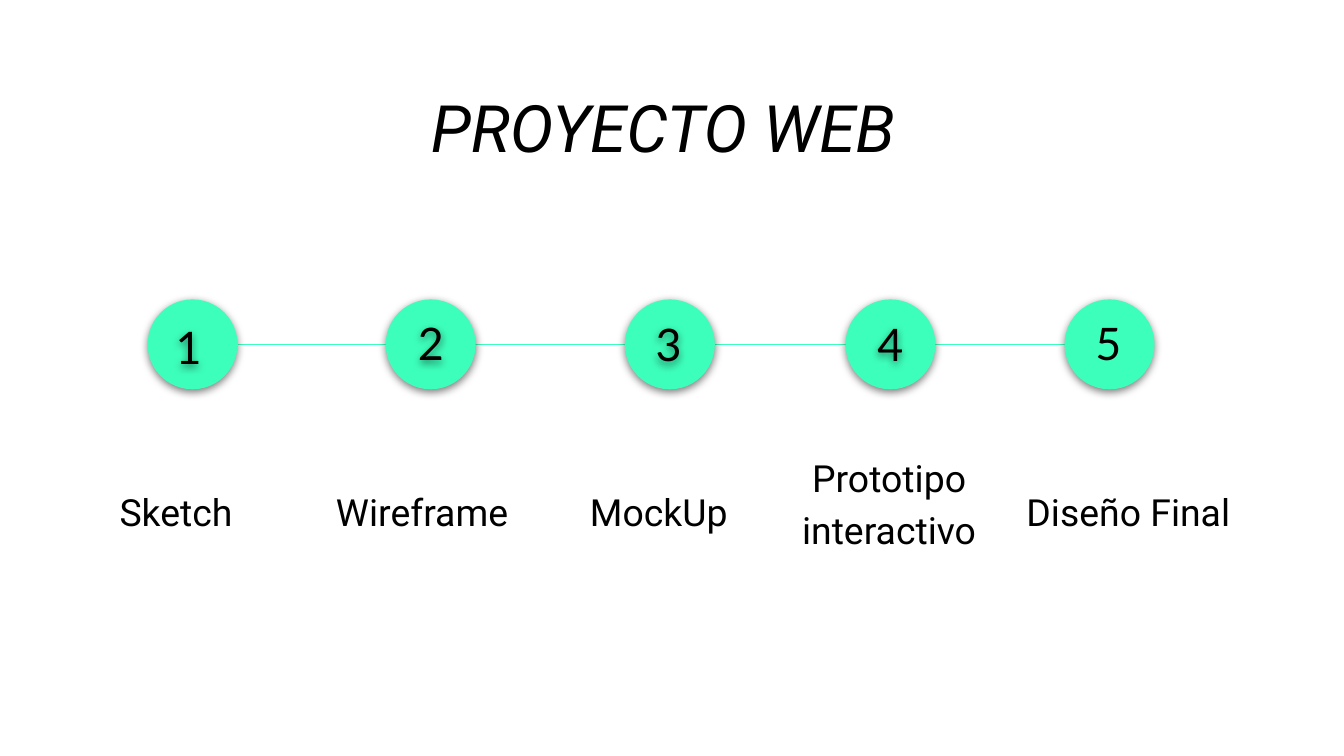
from dataclasses import dataclass

from lxml.etree import SubElement
from pptx import Presentation
from pptx.dml.color import RGBColor
from pptx.enum.shapes import MSO_CONNECTOR, MSO_SHAPE
from pptx.enum.text import MSO_ANCHOR, PP_ALIGN
from pptx.oxml import parse_xml
from pptx.oxml.ns import nsdecls, qn
from pptx.util import Cm, Pt

GREEN = RGBColor(0x3D, 0xFF, 0xBC)
BLACK = RGBColor(0x00, 0x00, 0x00)

DIAMETER = 1.7
CIRCLE_TOP = 5.66
LABEL_MIDDLE = 9.46


@dataclass
class Step:
    """One stage of the timeline; lengths in centimetres."""
    number: str
    left: float
    number_left: float
    number_top: float
    label: str
    label_left: float
    label_width: float
    label_height: float
    align: PP_ALIGN = PP_ALIGN.JUSTIFY
    spacing: float = 1.5
    grouped: bool = True


STEPS = [
    Step("1", 2.79, 3.07, 5.79, "Sketch", 2.01, 3.3, 2.97),
    Step("2", 7.29, 7.65, 5.72, "Wireframe", 6.1, 4.45, 2.11),
    Step("3", 11.81, 12.14, 5.74, "MockUp", 10.9, 3.53, 1.93),
    Step("4", 15.98, 16.33, 5.74, "Prototipo interactivo", 14.58, 4.45, 2.49,
         align=PP_ALIGN.CENTER, spacing=1.15),
    Step("5", 20.12, 20.45, 5.72, "Diseño Final", 19.15, 4.9, 1.52,
         grouped=False),
]


def add_shadow(sp) -> None:
    """Soft black shadow just below the shape."""
    sp._element.spPr.append(parse_xml(
        f'<a:effectLst {nsdecls("a")}>'
        f'<a:outerShdw blurRad="{Pt(4.5)}" dist="{Pt(1.5)}" dir="5400000" '
        'algn="bl" rotWithShape="0"><a:srgbClr val="000000">'
        '<a:alpha val="50000"/></a:srgbClr></a:outerShdw></a:effectLst>'))


def add_text(shapes, text: str, left: float, top: float, width: float,
             height: float, font: str, size: float,
             anchor: MSO_ANCHOR = MSO_ANCHOR.TOP):
    """Text box with even insets; returns the box and its paragraph."""
    sp = shapes.add_textbox(Cm(left), Cm(top), Cm(width), Cm(height))
    tf = sp.text_frame
    tf.word_wrap = True
    tf.vertical_anchor = anchor
    tf.margin_left = tf.margin_right = Cm(0.25)
    tf.margin_top = tf.margin_bottom = Cm(0.25)
    p = tf.paragraphs[0]
    p.text = text
    p.font.name = font
    p.font.size = Pt(size)
    p.font.color.rgb = BLACK
    return sp, p


def add_step(s, step: Step) -> None:
    # Numbered circle
    shapes = s.shapes.add_group_shape().shapes if step.grouped else s.shapes
    circle = shapes.add_shape(MSO_SHAPE.OVAL, Cm(step.left), Cm(CIRCLE_TOP),
                              Cm(DIAMETER), Cm(DIAMETER))
    circle.fill.solid()
    circle.fill.fore_color.rgb = GREEN
    circle.line.fill.background()
    add_shadow(circle)
    number, _ = add_text(shapes, step.number, step.number_left,
                         step.number_top, 0.76, 1.02, "Lato", 24)
    if step.grouped:
        add_shadow(number)

    # Label
    _, p = add_text(s.shapes, step.label, step.label_left,
                    LABEL_MIDDLE - step.label_height / 2, step.label_width,
                    step.label_height, "Roboto", 20, MSO_ANCHOR.MIDDLE)
    p.alignment = step.align
    p.line_spacing = step.spacing
    p.space_after = Pt(11)


def main() -> None:
    prs = Presentation()
    prs.slide_width, prs.slide_height = Cm(25.4), Cm(14.29)
    s = prs.slides.add_slide(prs.slide_layouts[6])

    # Timeline, behind the circles
    y = Cm(CIRCLE_TOP + DIAMETER / 2)
    line = s.shapes.add_connector(MSO_CONNECTOR.STRAIGHT,
                                  Cm(STEPS[0].left + DIAMETER), y,
                                  Cm(STEPS[-1].left), y)
    line.line.color.rgb = GREEN
    line.line.width = Pt(0.75)
    SubElement(line._element.spPr, qn("a:effectLst"))

    # Title
    _, p = add_text(s.shapes, "PROYECTO WEB ", 3.63, 0.66, 18.11, 1.93,
                    "Roboto", 35)
    p.font.italic = True
    p.alignment = PP_ALIGN.CENTER
    p.line_spacing = 1.5
    p.space_after = Pt(11)

    # Steps
    for step in STEPS:
        add_step(s, step)

    prs.save("out.pptx")


if __name__ == "__main__":
    main()
